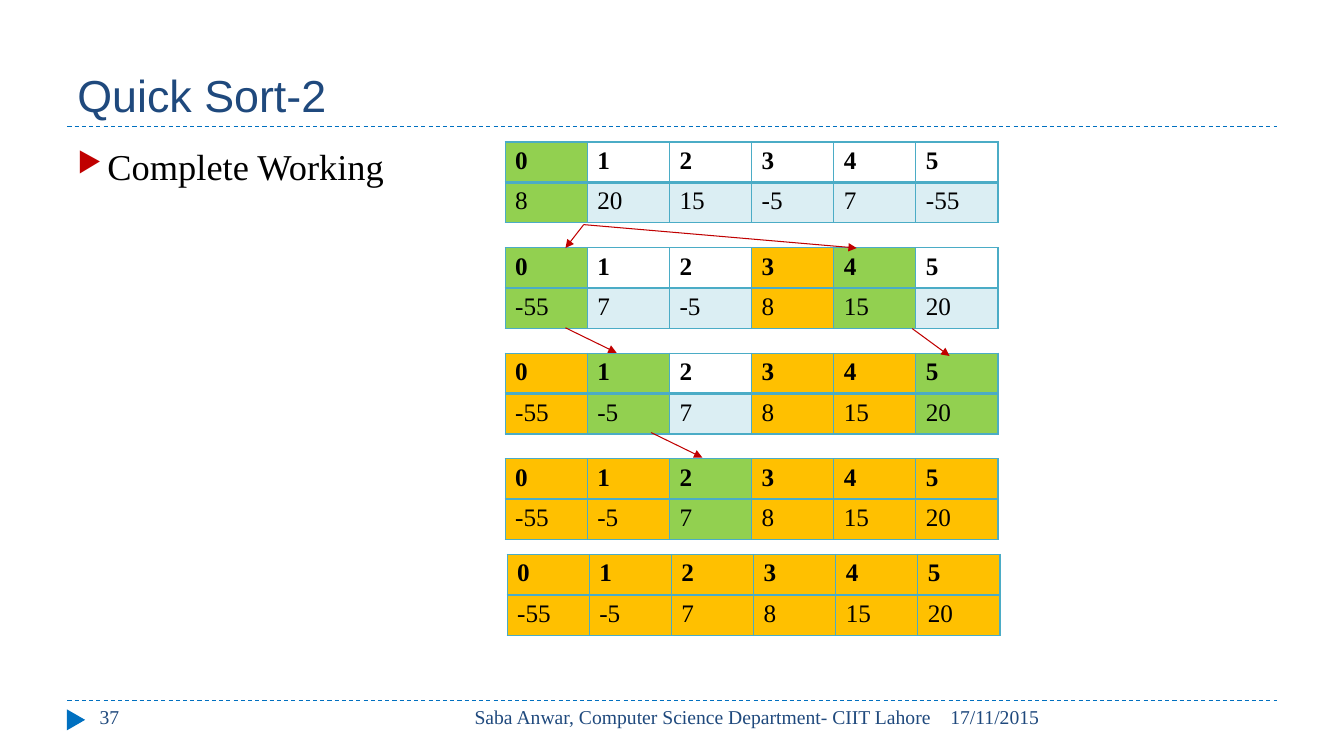
from dataclasses import dataclass

from lxml import etree
from pptx import Presentation
from pptx import util as u
from pptx.dml.color import RGBColor
from pptx.enum import dml, shapes, text
from pptx.oxml import ns


@dataclass(frozen=True)
class Theme:
    heading: str = "1F497D"
    rule: str = "0070C0"
    accent: str = "C00000"
    ink: str = "000000"
    grid: str = "4BACC6"
    pivot: str = "92D050"
    settled: str = "FFC000"
    title_font: str = "Arial"
    body_font: str = "Times New Roman"
    title_size: int = 32
    body_size: int = 26
    cell_size: int = 18
    footer_size: int = 14


THEME = Theme()

# Each pass: the values, then one mark per cell: p pivot, s settled, - open.
PASSES = [
    ((8, 20, 15, -5, 7, -55), "p-----"),
    ((-55, 7, -5, 8, 15, 20), "p--sp-"),
    ((-55, -5, 7, 8, 15, 20), "sp-ssp"),
    ((-55, -5, 7, 8, 15, 20), "sspsss"),
    ((-55, -5, 7, 8, 15, 20), "ssssss"),
]
ARRAY_LEFT, ARRAY_TOP, ARRAY_PITCH = 12.73, 3.58, 2.66
FINAL_LEFT, FINAL_TOP = 12.78, 13.97
CELL_WIDTH, CELL_HEIGHT = 2.07, 0.96

ARROWS = [
    ((14.71, 5.66), (14.25, 6.25)),
    ((14.71, 5.66), (21.59, 6.25)),
    ((14.25, 8.26), (15.54, 8.89)),
    ((22.99, 8.28), (23.93, 8.97)),
    ((16.41, 10.9), (17.7, 11.53)),
]


def rgb(color):
    return RGBColor.from_string(color)


def add_xml(parent, tag, **attributes):
    return etree.SubElement(parent, ns.qn(tag), attributes)


def style_text(paragraph, font_name, size, color, bold=False):
    font = paragraph.font
    font.name = font_name
    font.size = u.Pt(size)
    font.bold = bold
    font.color.rgb = rgb(color)


def add_label(slide, box, words, size, color, font_name=THEME.body_font,
              align=text.PP_ALIGN.LEFT, anchor=text.MSO_ANCHOR.TOP, bullet=False):
    frame = slide.shapes.add_textbox(*map(u.Cm, box)).text_frame
    frame.word_wrap = True
    frame.vertical_anchor = anchor
    paragraph = frame.paragraphs[0]
    paragraph.text = words
    paragraph.alignment = align
    if bullet:
        add_bullet(paragraph)
    style_text(paragraph, font_name, size, color)


def add_bullet(paragraph):
    indent = u.Cm(0.76)
    properties = paragraph._p.get_or_add_pPr()
    properties.set("marL", str(indent))
    properties.set("indent", str(-indent))
    add_xml(add_xml(properties, "a:buClr"), "a:srgbClr", val=THEME.accent)
    add_xml(properties, "a:buSzPct", val="76000")
    add_xml(properties, "a:buChar", char="▶")


def add_line(slide, start, end, color):
    line = slide.shapes.add_connector(
        shapes.MSO_CONNECTOR.STRAIGHT, *map(u.Cm, (*start, *end)))
    line.line.color.rgb = rgb(color)
    line.line.width = u.Pt(0.75)
    add_xml(line._element.spPr, "a:effectLst")
    return line


def add_rule(slide, top):
    rule = add_line(slide, (1.7, top), (32.18, top), THEME.rule)
    rule.line.dash_style = dml.MSO_LINE.DASH


def add_arrow(slide, start, end):
    arrow = add_line(slide, start, end, THEME.accent)
    add_xml(arrow.line._get_or_add_ln(), "a:tailEnd", type="triangle")


def add_page_marker(slide):
    marker = slide.shapes.add_shape(
        shapes.MSO_SHAPE.ISOSCELES_TRIANGLE, *map(u.Cm, (1.65, 17.91, 0.53, 0.46)))
    marker.rotation = 90
    marker.shadow.inherit = False
    marker.fill.solid()
    marker.fill.fore_color.rgb = rgb(THEME.rule)
    marker.line.fill.background()


def set_borders(cell, bottom):
    properties = cell._tc.get_or_add_tcPr()
    for side, width in (("L", 1), ("R", 1), ("T", 1), ("B", bottom)):
        edge = add_xml(properties, f"a:ln{side}", w=str(u.Pt(width)))
        add_xml(add_xml(edge, "a:solidFill"), "a:srgbClr", val=THEME.grid)


def fill_cell(cell, mark, is_index):
    """Colour a cell by its mark; open values get a tint, open indexes none."""
    if mark == "-" and is_index:
        cell.fill.background()
        return
    color = {"p": THEME.pivot, "s": THEME.settled, "-": THEME.grid}[mark]
    cell.fill.solid()
    cell.fill.fore_color.rgb = rgb(color)
    if mark == "-":
        tint = cell._tc.tcPr.find(ns.qn("a:solidFill"))[0]
        add_xml(tint, "a:alpha", val="20000")


def add_array(slide, left, top, values, marks):
    """Draw an array as a row of indexes over a row of values."""
    count = len(values)
    size = (left, top, CELL_WIDTH * count, CELL_HEIGHT * 2)
    array = slide.shapes.add_table(2, count, *map(u.Cm, size)).table
    array.first_row = array.horz_banding = False
    for column in array.columns:
        column.width = u.Cm(CELL_WIDTH)
    for row, numbers in enumerate((range(count), values)):
        array.rows[row].height = u.Cm(CELL_HEIGHT)
        is_index = row == 0
        for column, number in enumerate(numbers):
            cell = array.cell(row, column)
            cell.text = str(number)
            style_text(cell.text_frame.paragraphs[0], THEME.body_font,
                       THEME.cell_size, THEME.ink, bold=is_index)
            set_borders(cell, bottom=2 if is_index else 1)
            fill_cell(cell, marks[column], is_index)


def add_footer(slide):
    add_page_marker(slide)
    footer_top, footer_height = 17.65, 1.02
    for left, width, words, align in (
        (2.26, 7.34, "37", text.PP_ALIGN.LEFT),
        (10.74, 12.98, "Saba Anwar, Computer Science Department- CIIT Lahore",
         text.PP_ALIGN.RIGHT),
        (23.7, 8.48, "17/11/2015", text.PP_ALIGN.LEFT),
    ):
        add_label(slide, (left, footer_top, width, footer_height), words,
                  THEME.footer_size, THEME.heading, align=align)


def main():
    deck = Presentation()
    deck.slide_width, deck.slide_height = u.Cm(33.87), u.Cm(19.05)
    slide = deck.slides.add_slide(deck.slide_layouts[6])

    for rule_top in (3.18, 17.65):
        add_rule(slide, rule_top)
    add_label(slide, (1.7, 0.43, 30.48, 2.75), "Quick Sort-2", THEME.title_size,
              THEME.heading, THEME.title_font, anchor=text.MSO_ANCHOR.BOTTOM)
    add_footer(slide)
    add_label(slide, (1.7, 3.5, 30.48, 13.6), "Complete Working",
              THEME.body_size, THEME.ink, bullet=True)

    *working, final = PASSES
    for step, (values, marks) in enumerate(working):
        add_array(slide, ARRAY_LEFT, ARRAY_TOP + step * ARRAY_PITCH, values, marks)
    add_array(slide, FINAL_LEFT, FINAL_TOP, *final)
    for start, end in ARROWS:
        add_arrow(slide, start, end)

    deck.save("out.pptx")


if __name__ == "__main__":
    main()
